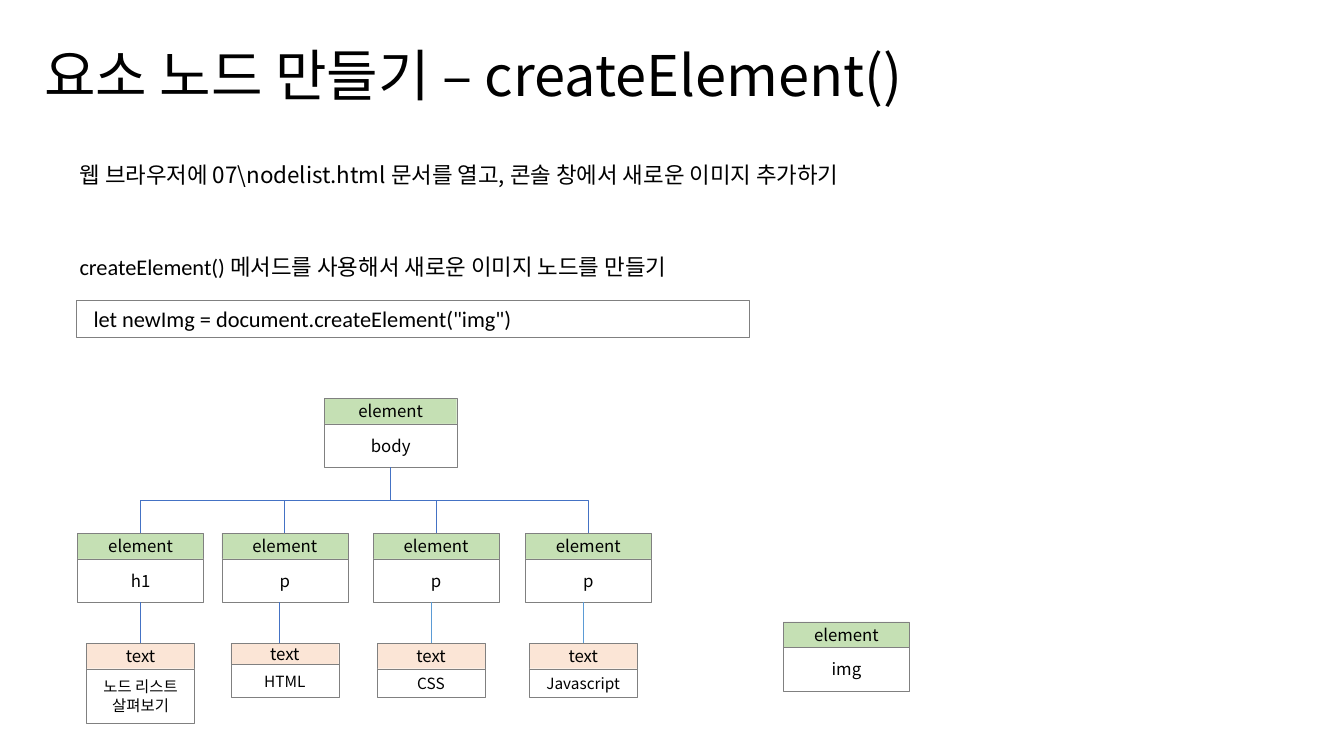
from lxml import etree
from pptx import Presentation
from pptx import util as u
from pptx.dml.color import RGBColor
from pptx.enum import shapes, text
from pptx.oxml.ns import qn

SANS, LATIN = "Noto Sans CJK KR", "Calibri"
GREEN, PEACH, WHITE, BLACK = "C5E0B4", "FBE5D6", "FFFFFF", "000000"
GREY, BLUE, SKY = "808080", "4472C4", "5B9BD5"
HEAD, ELEMENT_BODY = 2.55, 4.3
ELEMENT_W, TEXT_W = 12.5, 10.7


def rgb(hex_):
    return RGBColor.from_string(hex_)


def cells(*values):
    """Turn columns or rows of the 0.1 inch grid into lengths."""
    return [u.Inches(v / 10) for v in values]


class Canvas:
    """The current slide and the style of its elements."""

    def __init__(self, prs):
        self.s = prs.slides.add_slide(prs.slide_layouts[5])

    def put_text(self, sp, words, size, font=SANS, align=None, **frame):
        tf = sp.text_frame
        frame = {"word_wrap": True, "vertical_anchor": text.MSO_ANCHOR.TOP, **frame}
        for name, value in frame.items():
            setattr(tf, name, value)
        p = tf.paragraphs[0]
        p.alignment = align
        r = p.add_run()
        r.text = words
        for name, value in {"size": u.Pt(size), "name": font, "bold": False}.items():
            setattr(r.font, name, value)
        r.font.color.rgb = rgb(BLACK)
        etree.SubElement(r.font._element, qn("a:ea"), typeface=SANS)
        return p

    def title(self, words, box):
        sp = self.s.shapes.title
        sp.left, sp.top, sp.width, sp.height = cells(*box)
        self.put_text(sp, words, 40, align=text.PP_ALIGN.LEFT,
                      auto_size=text.MSO_AUTO_SIZE.SHAPE_TO_FIT_TEXT)

    def sentence(self, words, box, **style):
        sp = self.s.shapes.add_textbox(*cells(*box))
        self.put_text(sp, words, 16, auto_size=text.MSO_AUTO_SIZE.SHAPE_TO_FIT_TEXT, **style)

    def rect(self, parent, box, line_width, fill=None):
        sp = parent.add_shape(shapes.MSO_SHAPE.RECTANGLE, *cells(*box))
        sp.shadow.inherit = False
        if fill:
            sp.fill.solid()
            sp.fill.fore_color.rgb = rgb(fill)
        else:
            sp.fill.background()
        sp.line.color.rgb = rgb(GREY)
        sp.line.width = u.Pt(line_width)
        return sp

    def code(self, words, box):
        sp = self.rect(self.s.shapes, box, 0.75)
        p = self.put_text(sp, words, 16, LATIN, text.PP_ALIGN.LEFT)
        p.space_after = u.Pt(3)
        pPr = p._p.get_or_add_pPr()
        pPr.set("marL", str(u.Inches(0.07)))
        pPr.set("indent", "0")

    def card(self, kind, words, x, y, w, body, fill=GREEN, size=12, head=HEAD):
        """Draw a node as a coloured header over a body; return both rectangles."""
        group = self.s.shapes.add_group_shape().shapes
        parts = [(kind, y, head, fill, 12), (words, y + head, body, WHITE, size)]
        rects = []
        for label, top, height, colour, pt in parts:
            sp = self.rect(group, (x, top, w, height), 0.25, colour)
            self.put_text(sp, label, pt, align=text.PP_ALIGN.CENTER,
                          vertical_anchor=text.MSO_ANCHOR.MIDDLE)
            rects.append(sp)
        return rects

    def connector(self, kind, start, end, colour):
        c = self.s.shapes.add_connector(kind, *start, *end)
        c.line.color.rgb = rgb(colour)
        c.line.width = u.Pt(0.5)
        etree.SubElement(c._element.spPr, qn("a:effectLst"))
        return c

    def branch(self, parent, child):
        """Draw an elbow that leaves the parent's bottom and enters the child's top."""
        x1, y1 = parent.left + parent.width // 2, parent.top + parent.height
        x2, y2 = child.left + child.width // 2, child.top
        half_w, half_h = (y2 - y1) // 2, abs(x2 - x1) // 2
        cx, cy = (x1 + x2) // 2, (y1 + y2) // 2
        side = 1 if x2 < x1 else -1
        c = self.connector(shapes.MSO_CONNECTOR.ELBOW,
                           (cx - side * half_w, cy - half_h),
                           (cx + side * half_w, cy + half_h), BLUE)
        c._element.spPr.xfrm.set("rot", str(side * 90 * 60000 % (360 * 60000)))

    def drop(self, parent, child, colour, shift):
        """Draw a vertical line to the child's middle, moved sideways by shift columns."""
        x = child.left + child.width // 2 + cells(shift)[0]
        c = self.connector(shapes.MSO_CONNECTOR.STRAIGHT,
                           (x, parent.top + parent.height), (x, child.top), colour)
        if abs(x - parent.left - parent.width // 2) < u.Inches(0.01):
            c.begin_connect(parent, 2)
        if not shift:
            c.end_connect(child, 0)


def main():
    prs = Presentation()
    prs.slide_width, prs.slide_height = u.Inches(13.33), u.Inches(7.5)
    cv = Canvas(prs)
    cv.title("요소 노드 만들기 – createElement()", (3.4, 3.5, 100.8, 7.7))
    cv.sentence(r"웹 브라우저에 07\nodelist.html 문서를 열고, 콘솔 창에서 새로운 이미지 추가하기",
                (6.9, 15.5, 98.5, 3.7))
    cv.sentence("createElement() 메서드를 사용해서 새로운 이미지 노드를 만들기",
                (6.9, 24.6, 86.8, 3.7), font=LATIN, align=text.PP_ALIGN.JUSTIFY)
    cv.code('let newImg = document.createElement("img")', (7.6, 29.8, 66.7, 3.7))

    root = cv.card("element", "body", 32.2, 39.5, 13.1, ELEMENT_BODY)[1]
    # tag, column, text, text column, header rows, body rows, line colour, line shift
    children = [
        ("h1", 7.7, "노드 리스트 살펴보기", 8.6, HEAD, 5.4, BLUE, 0),
        ("p", 22, "HTML", 22.9, 2.1, 3.3, BLUE, -0.55),
        ("p", 37, "CSS", 37.4, HEAD, 2.8, SKY, 0),
        ("p", 52.1, "Javascript", 52.5, HEAD, 2.8, SKY, 0),
    ]
    for tag, x, words, text_x, head, body, colour, shift in children:
        top, bottom = cv.card("element", tag, x, 52.9, ELEMENT_W, ELEMENT_BODY)
        leaf = cv.card("text", words, text_x, 63.8, TEXT_W, body, PEACH, 11, head)[0]
        cv.branch(root, top)
        cv.drop(bottom, leaf, colour, shift)
    cv.card("element", "img", 77.7, 61.7, ELEMENT_W, ELEMENT_BODY)
    prs.save("out.pptx")


if __name__ == "__main__":
    main()
